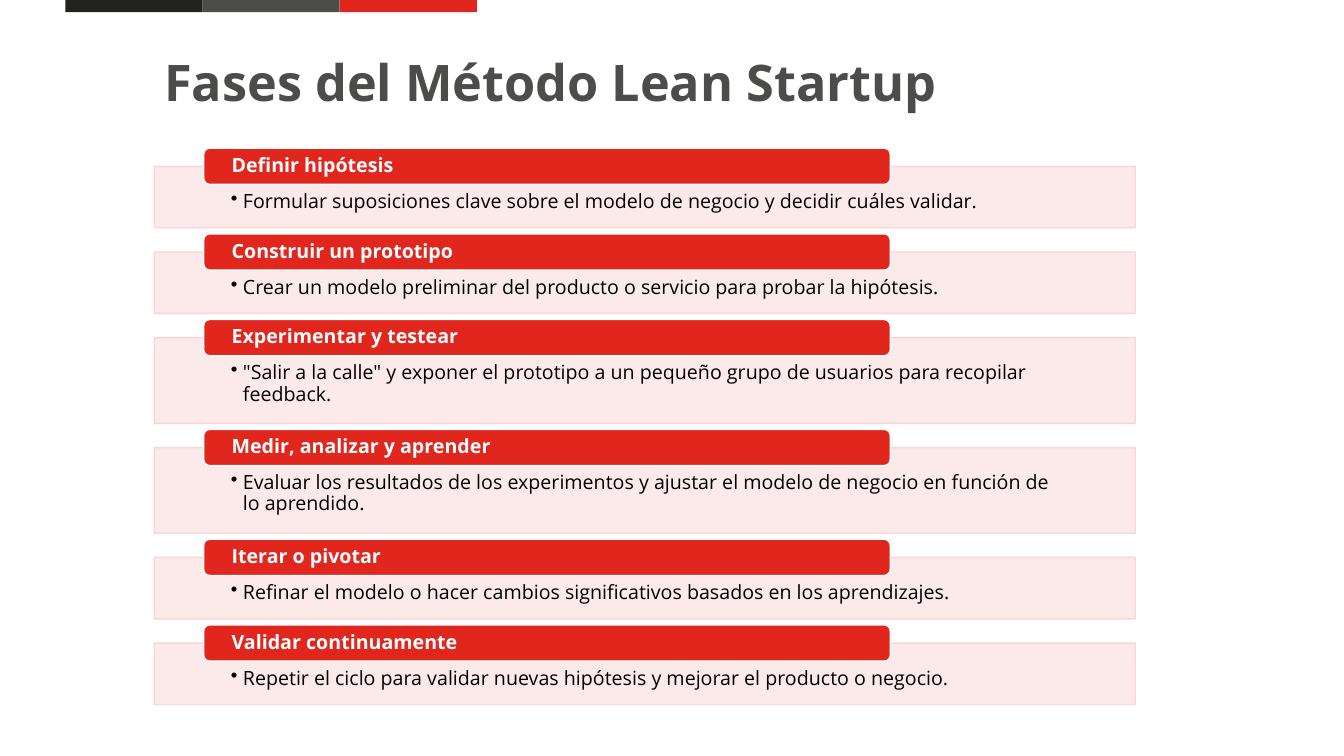
from lxml import etree
from pptx import Presentation
from pptx.dml.color import RGBColor
from pptx.enum.shapes import MSO_SHAPE
from pptx.enum.text import MSO_ANCHOR, MSO_AUTO_SIZE, PP_ALIGN
from pptx.oxml.ns import qn
from pptx.util import Pt

PX = 9144  # 100 px to the inch
RECTANGLE = MSO_SHAPE.RECTANGLE
ROUNDED = MSO_SHAPE.ROUNDED_RECTANGLE
TOP, MIDDLE = MSO_ANCHOR.TOP, MSO_ANCHOR.MIDDLE
LEFT = PP_ALIGN.LEFT

FONT = "Open Sans"
BLACK = RGBColor(0x00, 0x00, 0x00)
WHITE = RGBColor(0xFF, 0xFF, 0xFF)
CHARCOAL = RGBColor(0x22, 0x22, 0x20)
GREY = RGBColor(0x4C, 0x4C, 0x4B)
RED = RGBColor(0xE1, 0x26, 0x1E)
PINK = RGBColor(0xFC, 0xE8, 0xE8)
PINK_LINE = RGBColor(0xF9, 0xD3, 0xD2)

PANEL_LEFT, PANEL_WIDTH, PANEL_GAP = 153, 973, 24
ONE_LINE, TWO_LINES = 61, 85
TAG_LEFT, TAG_WIDTH, TAG_HEIGHT, TAG_RISE = 202, 681, 36, 18
BULLET_INDENT = 12

PHASES = [
    ("Definir hipótesis", ONE_LINE,
     "Formular suposiciones clave sobre el modelo de negocio y decidir cuáles validar."),
    ("Construir un prototipo", ONE_LINE,
     "Crear un modelo preliminar del producto o servicio para probar la hipótesis."),
    ("Experimentar y testear", TWO_LINES,
     '"Salir a la calle" y exponer el prototipo a un pequeño grupo de usuarios '
     "para recopilar feedback."),
    ("Medir, analizar y aprender", TWO_LINES,
     "Evaluar los resultados de los experimentos y ajustar el modelo de negocio "
     "en función de lo aprendido."),
    ("Iterar o pivotar", ONE_LINE,
     "Refinar el modelo o hacer cambios significativos basados en los aprendizajes."),
    ("Validar continuamente", ONE_LINE,
     "Repetir el ciclo para validar nuevas hipótesis y mejorar el producto o negocio."),
]


def add_block(kind, left, top, width, height, fill, line=None):
    shape = slide.shapes.add_shape(kind, left * PX, top * PX, width * PX, height * PX)
    shape.shadow.inherit = False
    shape.fill.solid()
    shape.fill.fore_color.rgb = fill
    if line is None:
        shape.line.fill.background()
    else:
        shape.line.color.rgb = line
        shape.line.width = Pt(1)
    return shape


def write_text(shape, text, size, color, bold, anchor, margins):
    """Fill the shape with one left-aligned paragraph and return it."""
    frame = shape.text_frame
    frame.text = text
    frame.word_wrap = True
    frame.auto_size = MSO_AUTO_SIZE.NONE
    frame.vertical_anchor = anchor
    frame.margin_left, frame.margin_top, frame.margin_right, frame.margin_bottom = (
        margin * PX for margin in margins)
    paragraph = frame.paragraphs[0]
    paragraph.alignment = LEFT
    font = paragraph.runs[0].font
    font.name, font.size, font.bold = FONT, Pt(size), bold
    font.color.rgb = color
    return paragraph


presentation = Presentation()
presentation.slide_width = 1333 * PX
presentation.slide_height = 750 * PX
slide = presentation.slides.add_slide(presentation.slide_layouts[5])

for index, color in enumerate((CHARCOAL, GREY, RED)):
    add_block(RECTANGLE, 65 + index * 136, 0, 136, 12, color)

title = slide.shapes.title
title.left, title.top, title.width, title.height = 153 * PX, 44 * PX, 1126 * PX, 73 * PX
write_text(title, "Fases del Método Lean Startup", 36, GREY, True, MIDDLE, (10, 5, 10, 5))

panel_top = 165
for name, panel_height, description in PHASES:
    panel = add_block(RECTANGLE, PANEL_LEFT, panel_top, PANEL_WIDTH, panel_height,
                      PINK, PINK_LINE)
    for color_element in panel._element.spPr.iter(qn("a:srgbClr")):
        etree.SubElement(color_element, qn("a:alpha"), val="90000")
    paragraph = write_text(panel, description, 14, BLACK, False, TOP, (76, 25, 76, 11))
    paragraph.line_spacing = 0.9
    properties = paragraph._p.get_or_add_pPr()
    properties.set("marL", str(BULLET_INDENT * PX))
    properties.set("indent", str(-BULLET_INDENT * PX))
    etree.SubElement(properties, qn("a:buChar"), char="•")

    tag = add_block(ROUNDED, TAG_LEFT, panel_top - TAG_RISE, TAG_WIDTH, TAG_HEIGHT,
                    RED, WHITE)
    paragraph = write_text(tag, name, 14, WHITE, True, MIDDLE, (26, 0, 26, 0))
    paragraph.line_spacing = 0.9
    panel_top += panel_height + PANEL_GAP

presentation.save("out.pptx")
